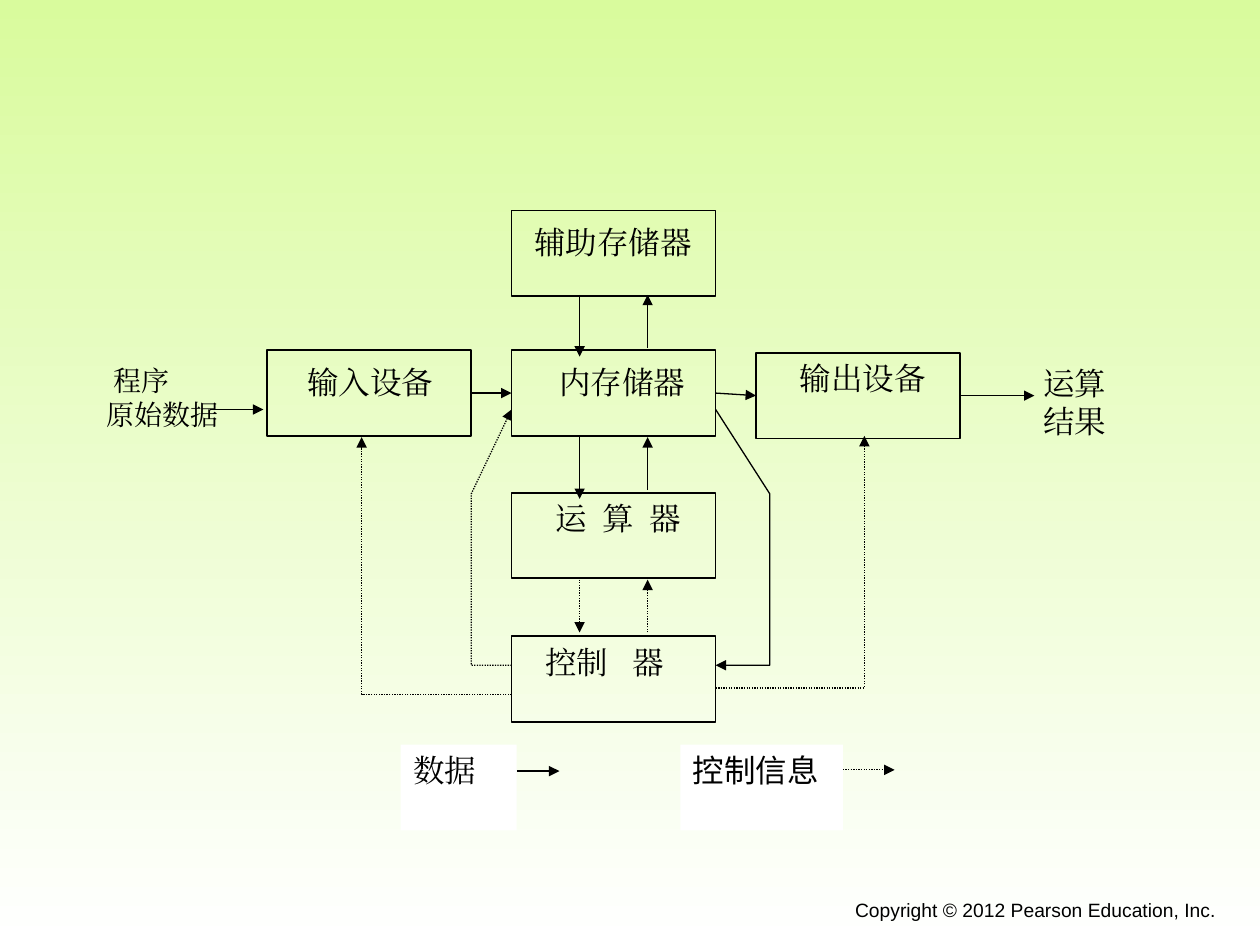
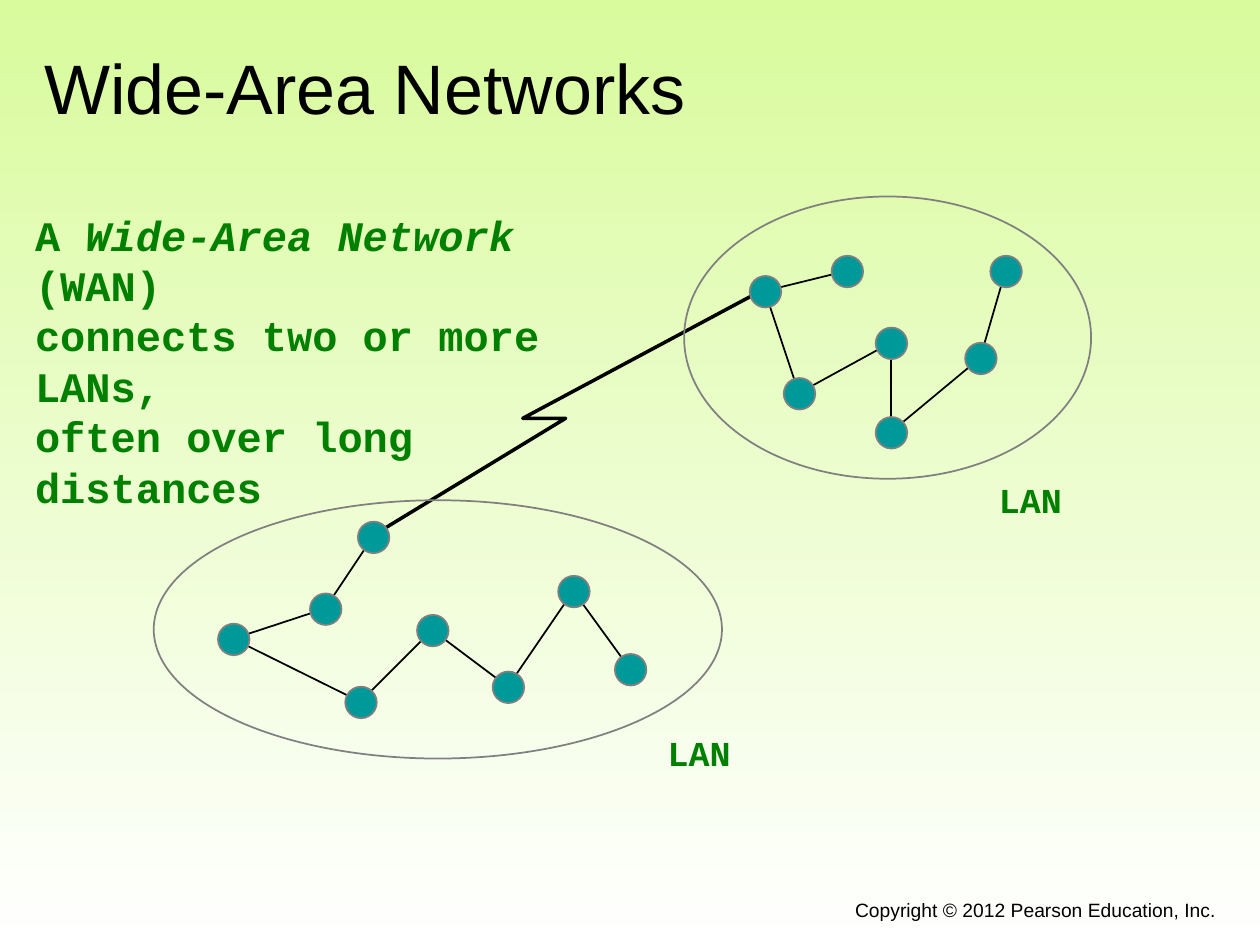
from itertools import pairwise

from pptx import Presentation
from pptx.dml.color import RGBColor
from pptx.enum.dml import MSO_LINE
from pptx.enum.shapes import MSO_CONNECTOR as CON, MSO_SHAPE as GEO
from pptx.enum.text import MSO_ANCHOR as ANC, PP_ALIGN as AL
from pptx.oxml.ns import qn
from pptx.util import Emu, Pt

PX = 9144
BLACK, WHITE, GREEN, TEAL, GRAY, LIME = (
    "000000", "FFFFFF", "008000", "009999", "808080", "D9FB9D")
SANS, SERIF, MONO, HAN = "Arial", "Times New Roman", "Courier New", "Noto Sans CJK SC"
WIDE, HIGH, DOT = 162, 68, 25


def px(n):
    """Turn px into EMU."""
    return Emu(n * PX)


def rgb(code):
    """Turn a hex string into a colour."""
    return RGBColor.from_string(code)


def style(line, color, width, dots=False):
    """Set the colour, width and dash of a line."""
    line.color.rgb = rgb(color)
    line.width = Pt(width)
    if dots:
        line.dash_style = MSO_LINE.ROUND_DOT


def point(shape):
    """Put a triangle at the end of a line."""
    ln = shape._element.spPr.find(qn("a:ln"))
    ln.append(ln.makeelement(qn("a:tailEnd"), {"type": "triangle"}))


def add_run(para, text, size, face, color=BLACK, bold=False, italic=False, gap=0):
    """Add one run, with extra letter spacing in points."""
    run = para.add_run()
    run.text = text
    font = run.font
    font.size, font.name, font.bold, font.italic = Pt(size), face, bold, italic
    font.color.rgb = rgb(color)
    props = run._r.get_or_add_rPr()
    if gap:
        props.set("spc", str(round(gap * 100)))
    props.append(props.makeelement(qn("a:ea"), {"typeface": face}))


def write(shape, paras, size, face=SERIF, align=AL.LEFT, anchor=ANC.TOP, **look):
    """Fill a shape with paragraphs, each a list of (text, extra look) runs."""
    frame = shape.text_frame
    frame.word_wrap = True
    frame.vertical_anchor = anchor
    for i, runs in enumerate(paras):
        para = frame.add_paragraph() if i else frame.paragraphs[0]
        para.alignment = align
        para.line_spacing = Pt(size * 1.2)
        for text, more in runs:
            add_run(para, text, size, face, **{**look, **more})


def plain(*lines):
    """Give one plain run for each line."""
    return [[(line, {})] for line in lines]


def add_text(slide, x, y, w, h, paras, size, **look):
    """Add a text box."""
    box = slide.shapes.add_textbox(px(x), px(y), px(w), px(h))
    write(box, paras, size, **look)
    return box


def add_form(slide, kind, x, y, w, h, fill=None, edge=None, width=1):
    """Add a preset shape."""
    form = slide.shapes.add_shape(kind, px(x), px(y), px(w), px(h))
    form.shadow.inherit = False
    if fill:
        form.fill.solid()
        form.fill.fore_color.rgb = rgb(fill)
    else:
        form.fill.background()
    if edge:
        style(form.line, edge, width)
    else:
        form.line.fill.background()
    return form


def add_line(slide, start, end, width=0.75, dots=False, arrow=True):
    """Add a straight line between two points."""
    line = slide.shapes.add_connector(CON.STRAIGHT, *map(px, (*start, *end)))
    style(line.line, BLACK, width, dots)
    if arrow:
        point(line)
    props = line._element.spPr
    props.append(props.makeelement(qn("a:effectLst"), {}))
    return line


def add_bend(slide, spots, width=0.75, dots=False, arrow=True):
    """Add an open line through several points."""
    maker = slide.shapes.build_freeform(*spots[0], scale=float(PX))
    maker.add_line_segments(spots[1:], close=False)
    bend = maker.convert_to_shape()
    bend.shadow.inherit = False
    bend.fill.background()
    style(bend.line, BLACK, width, dots)
    if arrow:
        point(bend)


def add_foot(slide):
    """Add the copyright line."""
    add_text(slide, 367, 708, 608, 34, plain("Copyright © 2012 Pearson Education, Inc."),
             11, face=SANS, align=AL.RIGHT)


def add_lan(slide, oval, nodes, label):
    """Add a chain of linked nodes inside a labelled oval."""
    mids = [(x + DOT // 2, y + DOT // 2) for x, y in nodes]
    for start, end in pairwise(mids):
        add_line(slide, start, end, 1, arrow=False)
    for x, y in nodes:
        add_form(slide, GEO.OVAL, x, y, DOT, DOT, TEAL, GRAY)
    add_form(slide, GEO.OVAL, *oval, edge=GRAY)
    add_text(slide, *label, 78, 43, plain("LAN"), 20, face=MONO, color=GREEN, bold=True)


def add_units(slide):
    """Add the computer units and their names."""
    units = [
        ("aux", 406, 167, 414, 172, plain("辅助存储器")),
        ("input", 212, 278, 234, 283, plain("输入设备")),
        ("memory", 406, 278, 434, 283, plain("内存储器")),
        ("output", 600, 280, 625, 280, plain("输出设备")),
        ("math", 406, 391, 431, 391, [[("运 算 器", {"gap": 2.25})]]),
        ("control", 406, 505, 423, 505, [[("控制", {}), (" ", {"gap": 9}), ("器", {})]]),
    ]
    forms = {}
    for key, x, y, left, top, name in units:
        forms[key] = add_form(slide, GEO.RECTANGLE, x, y, WIDE, HIGH, edge=BLACK)
        add_text(slide, left, top, 148, HIGH, name, 18)
    return forms


def add_flows(slide, forms):
    """Add the data and control arrows between the units."""
    for one, two in (("input", "memory"), ("memory", "output")):
        line = add_line(slide, (374, 312), (406, 312))
        line.begin_connect(forms[one], 3)
        line.end_connect(forms[two], 1)
    add_line(slide, (762, 314), (821, 314)).begin_connect(forms["output"], 3)
    add_line(slide, (167, 325), (209, 325))
    for top, low, dots in ((234, 283, False), (347, 396, False), (460, 502, True)):
        add_line(slide, (460, top), (460, low), dots=dots)
        add_line(slide, (514, top + 42), (514, top), dots=dots)
    add_bend(slide, [(568, 325), (611, 392), (611, 528), (568, 528)])
    for spots in ([(406, 528), (374, 528), (374, 392), (406, 325)],
                  [(406, 551), (287, 551), (287, 347)],
                  [(568, 546), (686, 546), (686, 346)]):
        add_bend(slide, spots, dots=True)


def add_key(slide):
    """Add the legend of the two arrow kinds."""
    for x, w, end, y, name, face, dots in (
            (318, 92, 444, 612, "数据", SERIF, False),
            (540, 129, 710, 611, "控制信息", HAN, True)):
        add_line(slide, (x + w, y), (end, y), dots=dots)
        box = add_form(slide, GEO.RECTANGLE, x, 591, w, HIGH, WHITE)
        write(box, plain(name), 18, face=face)


def computer(prs):
    """Build the slide of the computer's units."""
    slide = prs.slides.add_slide(prs.slide_layouts[6])
    add_flows(slide, add_units(slide))
    source = add_text(slide, 75, 284, 111, 86, plain("程序", "原始数据"), 16)
    source.text_frame.paragraphs[0]._p.get_or_add_pPr().set("marL", str(px(5)))
    add_text(slide, 818, 284, 107, 90, plain("运算", "结果"), 18)
    add_key(slide)
    add_foot(slide)


def network(prs):
    """Build the slide of wide-area networks."""
    slide = prs.slides.add_slide(prs.slide_layouts[5])
    title = slide.shapes.title
    title.left, title.top, title.width, title.height = map(px, (25, 30, 950, 78))
    write(title, plain("Wide-Area Networks"), 40, face=SANS, anchor=ANC.MIDDLE)
    add_bend(slide, [(296, 425), (449, 332), (415, 332), (600, 233)], 2, arrow=False)
    add_lan(slide, (122, 397, 451, 205),
            [(284, 414), (246, 471), (173, 495), (274, 545),
             (331, 488), (391, 533), (443, 457), (488, 519)], (520, 576))
    add_lan(slide, (543, 156, 323, 224),
            [(660, 203), (595, 219), (622, 300), (695, 260),
             (695, 331), (766, 272), (786, 203)], (783, 375))
    add_text(slide, 18, 161, 486, 250,
             [[("A ", {}), ("Wide-Area Network", {"italic": True}), (" (WAN)", {})],
              *plain("connects two or more LANs,", "often over long distances")],
             24, face=MONO, color=GREEN, bold=True)
    add_foot(slide)


def main():
    """Build and save the slides."""
    prs = Presentation()
    prs.slide_width, prs.slide_height = px(1000), px(750)
    fill = prs.slide_master.background.fill
    fill.gradient()
    fill.gradient_angle = 270
    for stop, code in zip(fill.gradient_stops, (LIME, WHITE)):
        stop.color.rgb = rgb(code)
    computer(prs)
    network(prs)
    prs.save("out.pptx")


if __name__ == "__main__":
    main()
